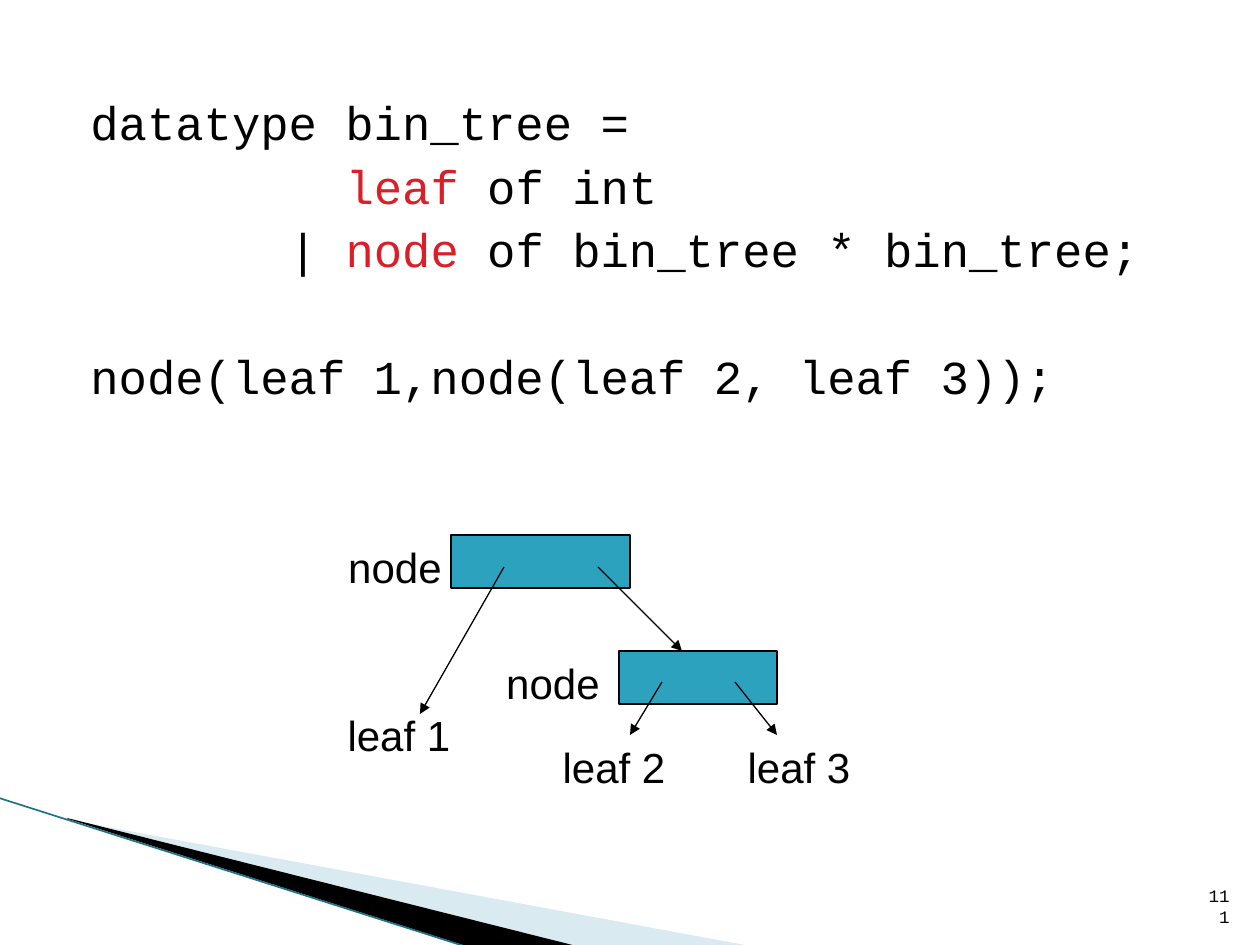
from pptx import Presentation
from pptx.dml.color import RGBColor
from pptx.enum.shapes import MSO_CONNECTOR, MSO_SHAPE
from pptx.enum.text import MSO_ANCHOR, PP_ALIGN
from pptx.oxml.ns import qn
from pptx.util import Pt
from lxml import etree

SCALE = 914400 / 126
RECT = MSO_SHAPE.RECTANGLE
LINE = MSO_CONNECTOR.STRAIGHT
LEFT, MID, RIGHT = PP_ALIGN.LEFT, PP_ALIGN.CENTER, PP_ALIGN.RIGHT
TOP, BASE = MSO_ANCHOR.TOP, MSO_ANCHOR.BOTTOM
BLACK, RED, TEAL = "000000", "DA1F28", "2DA2BF"
MONO, SANS = "Courier New", "Arial"


def px(n):
    return round(n * SCALE)


def hue(tone):
    return RGBColor.from_string(tone)


def text(slide, box, paras, font=SANS, size=24, align=MID, anchor=TOP, wrap=True):
    """Each paragraph is (indent in px, space before in pt, [(words, colour)])."""
    frame = slide.shapes.add_textbox(*map(px, box)).text_frame
    frame.word_wrap = wrap
    frame.vertical_anchor = anchor
    for i, (indent, before, runs) in enumerate(paras):
        para = frame.add_paragraph() if i else frame.paragraphs[0]
        para.alignment = align
        para.space_before = Pt(before)
        if indent:
            para._p.get_or_add_pPr().set("marL", str(px(indent)))
        for words, tone in runs:
            run = para.add_run()
            run.text = words
            run.font.name = font
            run.font.size = Pt(size)
            run.font.color.rgb = hue(tone)


def label(slide, words, box, **form):
    text(slide, box, [(0, 0, [(words, BLACK)])], **form)


def fill(shape, tone):
    shape.shadow.inherit = False
    shape.fill.solid()
    shape.fill.fore_color.rgb = hue(tone)


def cell(slide, box):
    shape = slide.shapes.add_shape(RECT, *map(px, box))
    fill(shape, TEAL)
    shape.line.color.rgb = hue(BLACK)
    shape.line.width = Pt(0.75)


def line(slide, ends, tone=BLACK, width=0.75, head=True):
    link = slide.shapes.add_connector(LINE, *map(px, ends))
    link.line.color.rgb = hue(tone)
    link.line.width = Pt(width)
    if head:
        tip = etree.SubElement(link.line._get_or_add_ln(), qn("a:tailEnd"))
        tip.set("type", "triangle")
    etree.SubElement(link._element.spPr, qn("a:effectLst"))


def wedge(slide, points, tone, alpha=100):
    start, *rest = points
    pen = slide.shapes.build_freeform(*start, scale=SCALE)
    pen.add_line_segments(rest, close=True)
    shape = pen.convert_to_shape()
    fill(shape, tone)
    shape.line.fill.background()
    if alpha < 100:
        solid = shape._element.spPr.find(qn("a:solidFill"))
        etree.SubElement(solid[0], qn("a:alpha")).set("val", str(alpha * 1000))


def main():
    deck = Presentation()
    deck.slide_width, deck.slide_height = px(1260), px(945)
    slide = deck.slides.add_slide(deck.slide_layouts[6])

    # Corner wedges
    wedge(slide, [(69, 820), (750, 946), (575, 946), (69, 819)], "A0CBDC", 40)
    wedge(slide, [(67, 818), (576, 946), (469, 947), (68, 819)], BLACK)
    line(slide, (-1, 798, 467, 947), tone="1F7386", width=0.95, head=False)

    # Code, indented by columns of one letter
    edge, col = 15, 28.35
    gap, skip = 4, 40
    text(slide, (63, 87, 1134, 757), [
        (edge, gap, [("datatype bin_tree =", BLACK)]),
        (edge + 9 * col, gap, [("leaf", RED), (" of int", BLACK)]),
        (edge + 7 * col, gap, [("| ", BLACK), ("node", RED),
                               (" of bin_tree * bin_tree;", BLACK)]),
        (edge, skip, [("node(leaf 1,node(leaf 2, leaf 3));", BLACK)]),
    ], font=MONO, size=27, align=LEFT)

    # Slide number
    label(slide, "111", (1192, 883, 50, 50),
          font=MONO, size=10, align=RIGHT, anchor=BASE)

    # Tree
    for box in [(451, 535, 179, 53), (619, 651, 158, 53)]:
        cell(slide, box)
    for words, mid, top in [("node", 395, 535), ("node", 553, 651),
                            ("leaf 1", 399, 703), ("leaf 2", 614, 735),
                            ("leaf 3", 799, 735)]:
        label(slide, words, (mid - 75, top, 150, 63), wrap=False)
    for ends in [(504, 567, 420, 714), (598, 567, 682, 651),
                 (662, 682, 630, 735), (735, 682, 777, 735)]:
        line(slide, ends)

    deck.save("out.pptx")


if __name__ == "__main__":
    main()
